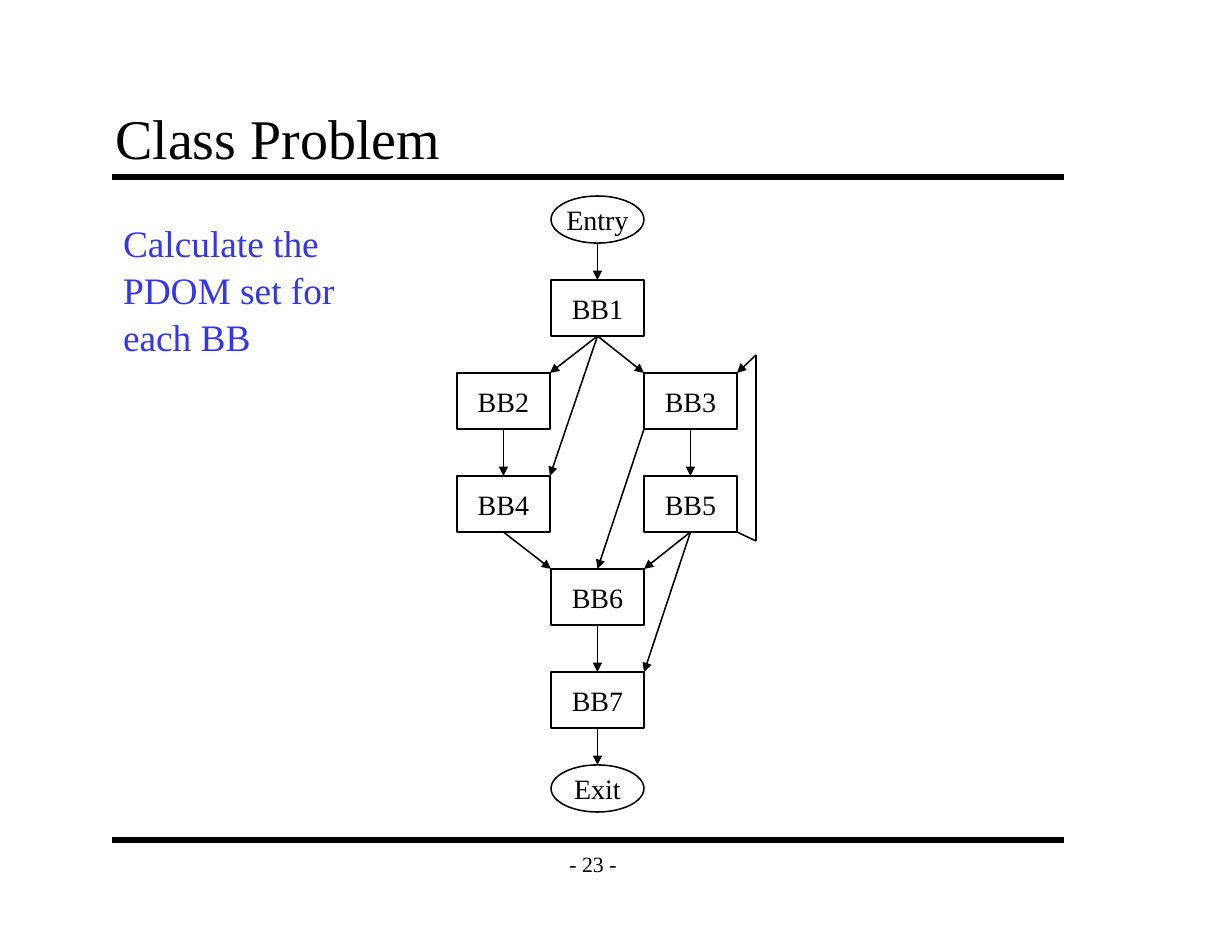
from lxml import etree
from pptx import Presentation
from pptx.dml.color import RGBColor
from pptx.enum.shapes import MSO_CONNECTOR, MSO_SHAPE
from pptx.enum.text import MSO_ANCHOR, MSO_AUTO_SIZE, PP_ALIGN
from pptx.oxml.ns import qn
from pptx.util import Inches, Pt

STRAIGHT = MSO_CONNECTOR.STRAIGHT
RECTANGLE, OVAL = MSO_SHAPE.RECTANGLE, MSO_SHAPE.OVAL
LEFT, CENTER = PP_ALIGN.LEFT, PP_ALIGN.CENTER
TOP, MIDDLE, BOTTOM = MSO_ANCHOR.TOP, MSO_ANCHOR.MIDDLE, MSO_ANCHOR.BOTTOM
NO_AUTOFIT = MSO_AUTO_SIZE.NONE

BLACK = RGBColor(0x00, 0x00, 0x00)
BLUE = RGBColor(0x33, 0x33, 0xFF)
FONT = "Times New Roman"

NODE_WIDTH, BLOCK_HEIGHT, OVAL_HEIGHT = 0.83, 0.5, 0.42
LEFT_COLUMN, MIDDLE_COLUMN, RIGHT_COLUMN = 4.08, 4.92, 5.75

NODES = {  # name: (left, top)
    "Entry": (MIDDLE_COLUMN, 1.75),
    "BB1": (MIDDLE_COLUMN, 2.5),
    "BB2": (LEFT_COLUMN, 3.33),
    "BB3": (RIGHT_COLUMN, 3.33),
    "BB4": (LEFT_COLUMN, 4.25),
    "BB5": (RIGHT_COLUMN, 4.25),
    "BB6": (MIDDLE_COLUMN, 5.08),
    "BB7": (MIDDLE_COLUMN, 6),
    "Exit": (MIDDLE_COLUMN, 6.83),
}

# Anchor points as fractions of a node's width and height
ANCHORS = {
    "top": (0.5, 0), "bottom": (0.5, 1),
    "top left": (0, 0), "top right": (1, 0),
    "bottom left": (0, 1), "bottom right": (1, 1),
}
RECTANGLE_SITES = {"top": 0, "bottom": 2}

EDGES = [
    ("Entry", "bottom", "BB1", "top"),
    ("BB1", "bottom", "BB2", "top right"),
    ("BB1", "bottom", "BB4", "top right"),
    ("BB1", "bottom", "BB3", "top left"),
    ("BB2", "bottom", "BB4", "top"),
    ("BB3", "bottom", "BB5", "top"),
    ("BB3", "bottom left", "BB6", "top"),
    ("BB4", "bottom", "BB6", "top left"),
    ("BB5", "bottom", "BB6", "top right"),
    ("BB5", "bottom", "BB7", "top right"),
    ("BB6", "bottom", "BB7", "top"),
    ("BB7", "bottom", "Exit", "top"),
]


def write_text(shape, lines, size, color=BLACK, align=LEFT, space_before=0, **frame_format):
    frame = shape.text_frame
    frame.text = "\n".join(lines)
    for name, value in frame_format.items():
        setattr(frame, name, value)
    for para in frame.paragraphs:
        para.alignment = align
        para.space_before = Pt(space_before)
        para.font.name = FONT
        para.font.size = Pt(size)
        para.font.color.rgb = color


def add_line(page, start, end, width=1, arrow=False):
    line = page.shapes.add_connector(STRAIGHT, *start, *end)
    line.line.color.rgb = BLACK
    line.line.width = Pt(width)
    if arrow:
        etree.SubElement(line.line._get_or_add_ln(), qn("a:tailEnd"), type="triangle")
    etree.SubElement(line._element.spPr, qn("a:effectLst"))
    return line


def add_node(page, name, left, top):
    is_block = name.startswith("BB")
    node = page.shapes.add_shape(
        RECTANGLE if is_block else OVAL, Inches(left), Inches(top),
        Inches(NODE_WIDTH), Inches(BLOCK_HEIGHT if is_block else OVAL_HEIGHT))
    node.shadow.inherit = False
    node.fill.background()
    node.line.color.rgb = BLACK
    node.line.width = Pt(1)
    write_text(node, [name], 18, align=CENTER, word_wrap=False, vertical_anchor=MIDDLE)
    return node


def anchor_point(node, anchor):
    across, down = ANCHORS[anchor]
    return int(node.left + across * node.width), int(node.top + down * node.height)


def add_edge(page, source, source_anchor, target, target_anchor):
    """Draw an arrow, glued wherever it meets the middle of a rectangle's side."""
    edge = add_line(page, anchor_point(source, source_anchor),
                    anchor_point(target, target_anchor), arrow=True)
    if source.auto_shape_type == RECTANGLE and source_anchor in RECTANGLE_SITES:
        edge.begin_connect(source, RECTANGLE_SITES[source_anchor])
    if target.auto_shape_type == RECTANGLE and target_anchor in RECTANGLE_SITES:
        edge.end_connect(target, RECTANGLE_SITES[target_anchor])


def add_back_edge(page, source, target):
    """Lead the loop from source back up to target, around the right side."""
    lower = Inches(6.75), Inches(4.83)
    upper = Inches(6.75), Inches(3.17)
    add_line(page, anchor_point(source, "bottom right"), lower)
    add_line(page, lower, upper)
    add_line(page, upper, anchor_point(target, "top right"), arrow=True)


def add_text_box(page, left, top, width, height, lines, size, **text_format):
    box = page.shapes.add_textbox(Inches(left), Inches(top), Inches(width), Inches(height))
    write_text(box, lines, size, word_wrap=False, **text_format)


def set_title(page, text):
    title = page.shapes.title
    title.left, title.top = Inches(0.92), Inches(0.91)
    title.width, title.height = Inches(8.5), Inches(0.67)
    write_text(title, [text], 36, vertical_anchor=BOTTOM, auto_size=NO_AUTOFIT,
               margin_left=Inches(0.11), margin_right=Inches(0.11),
               margin_top=Inches(0.06), margin_bottom=Inches(0.06))


def main():
    deck = Presentation()
    deck.slide_width, deck.slide_height = Inches(11), Inches(8.5)
    page = deck.slides.add_slide(deck.slide_layouts[5])

    set_title(page, "Class Problem")
    for rule_top in (1.58, 7.5):
        add_line(page, (Inches(1), Inches(rule_top)), (Inches(9.5), Inches(rule_top)), width=4)
    add_text_box(page, 4.92, 7.5, 0.75, 0.42, ["- 23 -"], 14,
                 align=CENTER, vertical_anchor=MIDDLE)
    add_text_box(page, 1, 1.92, 2.09, 1.3,
                 ["Calculate the", "PDOM set for", "each BB"], 24,
                 color=BLUE, space_before=1.2, vertical_anchor=TOP)

    nodes = {name: add_node(page, name, *place) for name, place in NODES.items()}
    for source, source_anchor, target, target_anchor in EDGES:
        add_edge(page, nodes[source], source_anchor, nodes[target], target_anchor)
    add_back_edge(page, nodes["BB5"], nodes["BB3"])

    deck.save("out.pptx")


if __name__ == "__main__":
    main()
